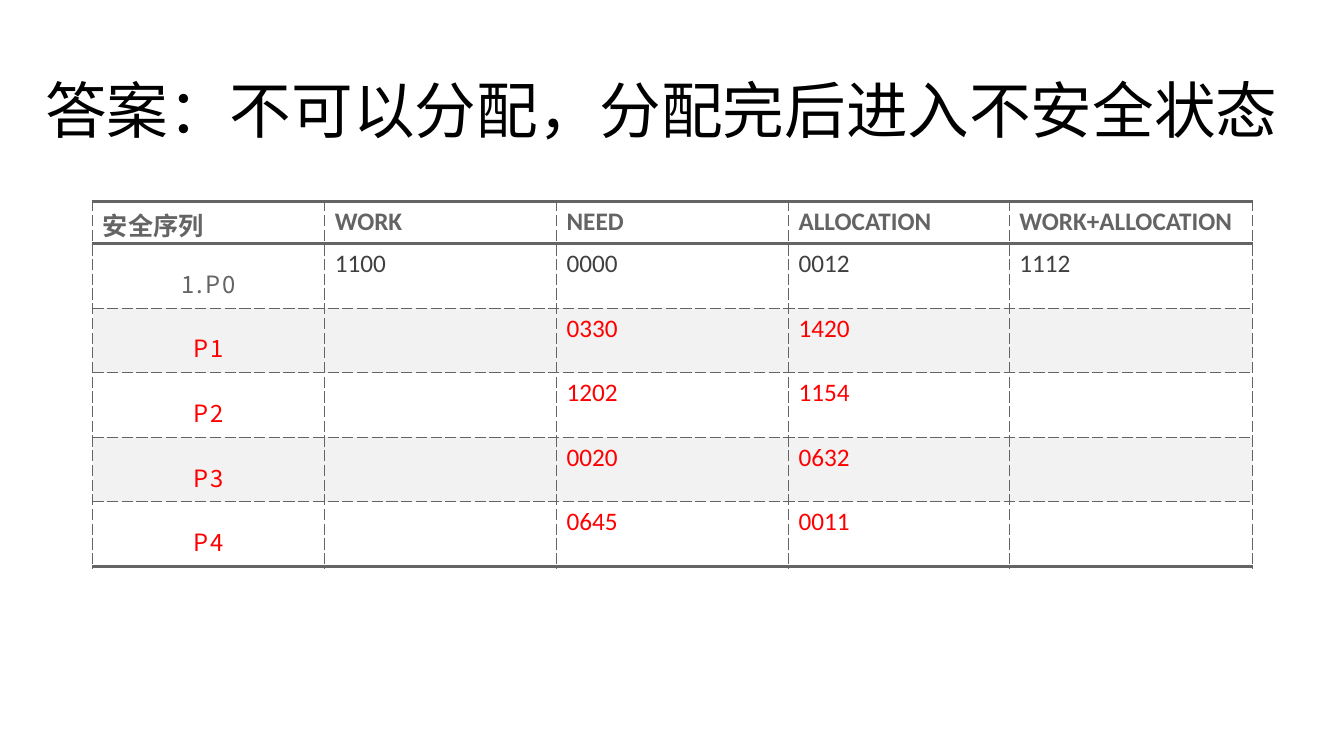
from lxml.etree import SubElement
from pptx import Presentation
from pptx.dml.color import RGBColor
from pptx.enum.text import MSO_ANCHOR as Anchor, PP_ALIGN as Align
from pptx.oxml import parse_xml
from pptx.oxml.ns import nsdecls, qn
from pptx.util import Inches, Pt

LATIN, CJK = "Calibri", "Noto Sans CJK SC"
GREY, DARK, RED, BLACK = "646464", "404040", "FF0000", "000000"
WHITE, BAND = "FFFFFF", "F2F2F2"
THIN, THICK = (0.75, "sysDash"), (2.25, "solid")

COLUMN_WIDTHS = (2.3, 2.3, 2.3, 2.19, 2.41)
HEADINGS = ("安全序列", "WORK", "NEED", "ALLOCATION", "WORK+ALLOCATION")
PROCESSES = (
    ("1.P0", "1100", "0000", "0012", "1112"),
    ("P1", "", "0330", "1420", ""),
    ("P2", "", "1202", "1154", ""),
    ("P3", "", "0020", "0632", ""),
    ("P4", "", "0645", "0011", ""),
)


def rgb(value):
    """Turn a hex string into a colour."""
    return RGBColor.from_string(value)


def add_run(paragraph, text, size, color, font=LATIN, bold=False, spacing=0):
    """Add one formatted run; spacing is in points."""
    run = paragraph.add_run()
    run.text = text
    run.font.size, run.font.bold, run.font.name = Pt(size), bold, font
    run.font.color.rgb = rgb(color)
    properties = run.font._element
    SubElement(properties, qn("a:ea")).set("typeface", CJK)
    if spacing:
        properties.set("spc", str(round(spacing * 100)))


def set_borders(cell, top, bottom):
    """Draw the four cell edges; the sides are always thin and dashed."""
    edges = (("lnL", THIN), ("lnR", THIN), ("lnT", top), ("lnB", bottom))
    for position, (edge, (width, dash)) in enumerate(edges):
        line = parse_xml(
            f'<a:{edge} {nsdecls("a")} w="{Pt(width)}"><a:solidFill>'
            f'<a:srgbClr val="{GREY}"/></a:solidFill>'
            f'<a:prstDash val="{dash}"/></a:{edge}>')
        cell._tc.get_or_add_tcPr().insert(position, line)


def fill_process_name(cell, name, color):
    """Write the centred process name of a body row."""
    cell.vertical_anchor = Anchor.MIDDLE
    cell.margin_left = cell.margin_right = Inches(0.24)
    cell.margin_top = cell.margin_bottom = Inches(0.15)
    paragraph = cell.text_frame.paragraphs[0]
    paragraph.alignment, paragraph.line_spacing = Align.CENTER, 1.2
    add_run(paragraph, name, 17, color, CJK, spacing=1.3)


def add_title(slide, left, top, width, height):
    """Add the answer as the slide heading."""
    box = slide.shapes.add_textbox(*map(Inches, (left, top, width, height)))
    frame = box.text_frame
    frame.word_wrap, frame.vertical_anchor = True, Anchor.MIDDLE
    paragraph = frame.paragraphs[0]
    paragraph.line_spacing = 0.9
    add_run(paragraph, "答案：不可以分配，分配完后进入不安全状态", 44, BLACK)


def add_sequence_table(slide, left, top, width, height):
    """Add the safe-sequence table with a ruled header and banded rows."""
    rows = (HEADINGS, *PROCESSES)
    last = len(rows) - 1
    table = slide.shapes.add_table(
        len(rows), len(HEADINGS),
        *map(Inches, (left, top, width, height))).table
    for column, share in zip(table.columns, COLUMN_WIDTHS):
        column.width = Inches(width * share / sum(COLUMN_WIDTHS))
    for r, values in enumerate(rows):
        for c, value in enumerate(values):
            cell = table.cell(r, c)
            cell.fill.solid()
            cell.fill.fore_color.rgb = rgb(BAND if r in (2, 4) else WHITE)
            set_borders(cell, THICK if r < 2 else THIN,
                        THICK if r in (0, last) else THIN)
            paragraph = cell.text_frame.paragraphs[0]
            if r == 0:
                add_run(paragraph, value, 18, GREY, bold=True)
            elif c == 0:
                fill_process_name(cell, value, GREY if r == 1 else RED)
            elif value:
                add_run(paragraph, value, 18, DARK if r == 1 else RED)


def main():
    """Build and save the slide."""
    deck = Presentation()
    deck.slide_width, deck.slide_height = Inches(13.33), Inches(7.5)
    slide = deck.slides.add_slide(deck.slide_layouts[6])
    add_title(slide, 0.35, 0.4, 13.13, 1.45)
    add_sequence_table(slide, 0.92, 2, 11.5, 2.5)
    deck.save("out.pptx")


main()
